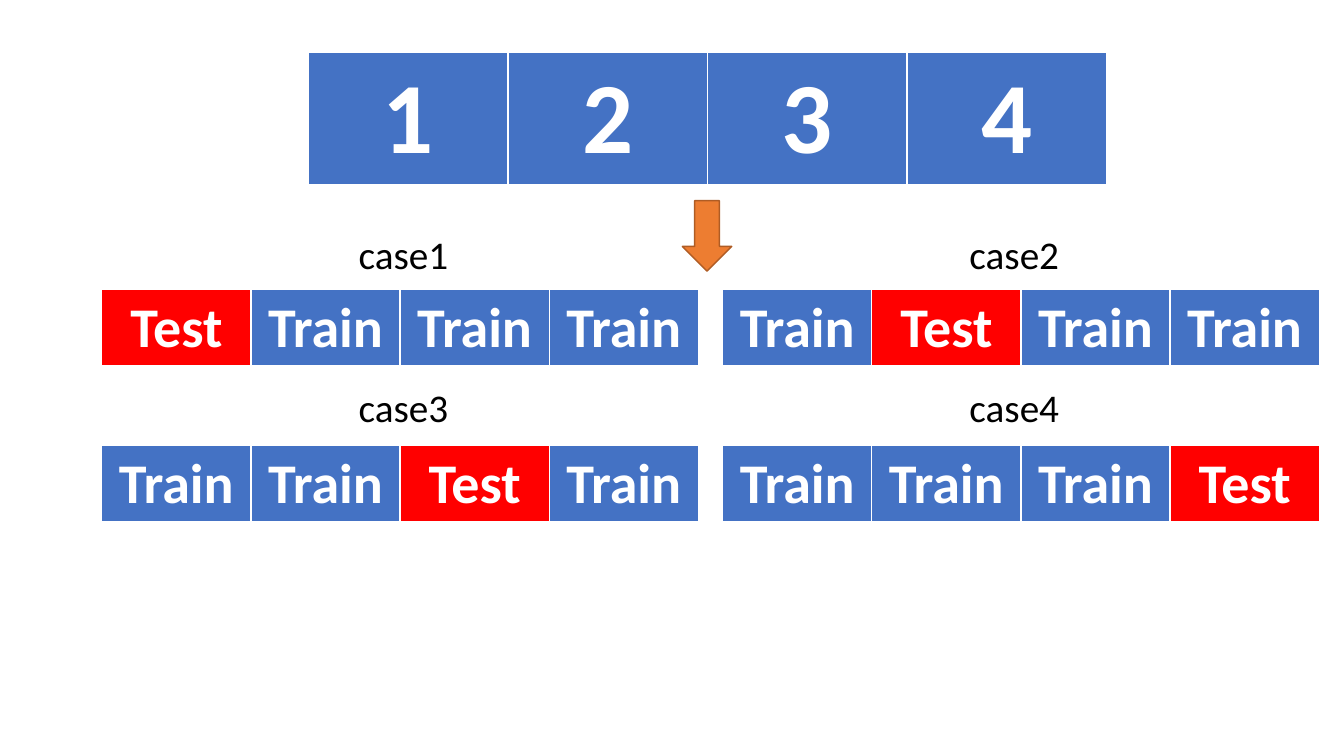
import pptx
import pptx.util
import pptx.dml.color
import pptx.enum.shapes
import pptx.enum.text
import pptx.oxml
import pptx.oxml.ns
from dataclasses import dataclass

Pt = pptx.util.Pt
ALIGN = pptx.enum.text.PP_ALIGN


@dataclass(frozen=True)
class Theme:
    font: str = "Calibri"
    train: str = "4472C4"
    test: str = "FF0000"
    white: str = "FFFFFF"
    black: str = "000000"
    arrow: str = "ED7D31"
    arrow_line: str = "AF5C24"
    fold_size: int = 72
    split_size: int = 40
    label_size: int = 28


THEME = Theme()
FOLDS = 4


def rgb(value):
    return pptx.dml.color.RGBColor.from_string(value)


def write_text(tf, text, size, color=THEME.black, bold=False, align=ALIGN.LEFT):
    p = tf.paragraphs[0]
    p.alignment = align
    r = p.add_run()
    r.text = text
    r.font.name = THEME.font
    r.font.size = Pt(size)
    r.font.bold = bold
    r.font.color.rgb = rgb(color)


def add_borders(cell):
    tc_pr = cell._tc.get_or_add_tcPr()
    for side, width in (("L", 1), ("R", 1), ("T", 1), ("B", 3)):
        tc_pr.append(pptx.oxml.parse_xml(
            f'<a:ln{side} {pptx.oxml.ns.nsdecls("a")} w="{Pt(width)}"><a:solidFill>'
            f'<a:srgbClr val="{THEME.white}"/></a:solidFill></a:ln{side}>'))


def add_strip(s, texts, left, top, width, height, size):
    """One-row table with equal columns; test cells stand out."""
    frame = s.shapes.add_table(1, len(texts), Pt(left), Pt(top), Pt(width), Pt(height))
    for column, cell, text in zip(frame.table.columns, frame.table.rows[0].cells, texts):
        column.width = Pt(width / len(texts))
        add_borders(cell)
        cell.fill.solid()
        cell.fill.fore_color.rgb = rgb(THEME.test if text == "Test" else THEME.train)
        cell.vertical_anchor = pptx.enum.text.MSO_ANCHOR.MIDDLE
        write_text(cell.text_frame, text, size, THEME.white, bold=True, align=ALIGN.CENTER)


def add_label(s, text, left, top):
    sp = s.shapes.add_textbox(Pt(left), Pt(top), Pt(142.6), Pt(41.2))
    sp.text_frame.word_wrap = True
    sp.text_frame.auto_size = pptx.enum.text.MSO_AUTO_SIZE.SHAPE_TO_FIT_TEXT
    write_text(sp.text_frame, text, THEME.label_size)


def add_down_arrow(s, left, top, width, height):
    sp = s.shapes.add_shape(pptx.enum.shapes.MSO_SHAPE.DOWN_ARROW,
                            Pt(left), Pt(top), Pt(width), Pt(height))
    sp.shadow.inherit = False
    sp.fill.solid()
    sp.fill.fore_color.rgb = rgb(THEME.arrow)
    sp.line.color.rgb = rgb(THEME.arrow_line)
    sp.line.width = Pt(1)


def main():
    prs = pptx.Presentation()
    prs.slide_width, prs.slide_height = Pt(960), Pt(540)
    s = prs.slides.add_slide(prs.slide_layouts[6])

    # Whole data set, cut into folds
    folds = [str(i + 1) for i in range(FOLDS)]
    add_strip(s, folds, 220.3, 37.4, 570.2, 75.6, THEME.fold_size)
    add_down_arrow(s, 487.4, 143.3, 35.3, 50.4)

    # Cases in a two-by-two grid: case i tests on fold i
    strip_lefts, strip_tops = (72.7, 516.2), (206.6, 318.2)
    label_lefts, label_tops = (249.1, 685.4), (161.3, 270)
    for case in range(FOLDS):
        row, col = divmod(case, 2)
        splits = ["Test" if fold == case else "Train" for fold in range(FOLDS)]
        add_label(s, f"case{case + 1}", label_lefts[col], label_tops[row])
        add_strip(s, splits, strip_lefts[col], strip_tops[row], 426.2, 50.4,
                  THEME.split_size)

    prs.save("out.pptx")


main()
